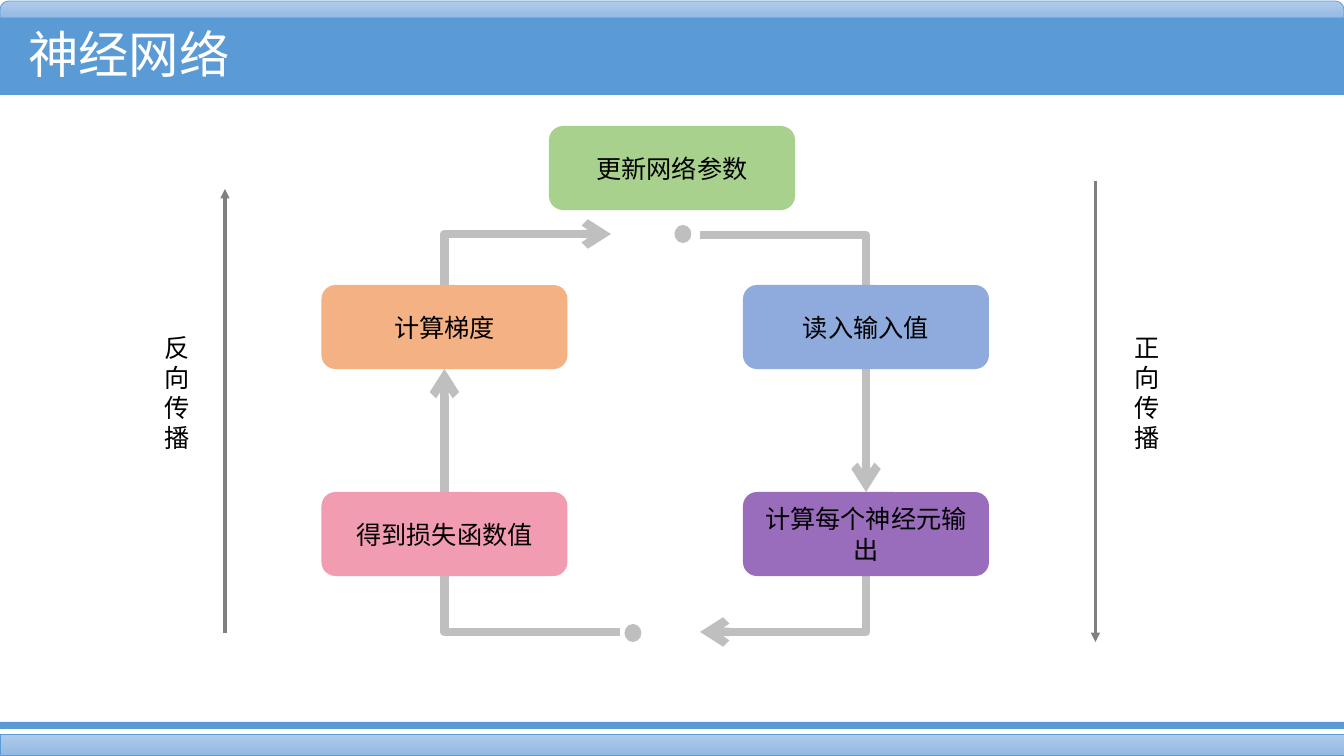
from pptx import Presentation
from pptx.dml.color import RGBColor
from pptx.enum.shapes import MSO_CONNECTOR, MSO_SHAPE
from pptx.enum.text import MSO_ANCHOR, PP_ALIGN
from pptx.oxml.ns import qn
from pptx.util import Pt
from lxml import etree

RECT, ROUND, OVAL = MSO_SHAPE.RECTANGLE, MSO_SHAPE.ROUNDED_RECTANGLE, MSO_SHAPE.OVAL
TAB = MSO_SHAPE.ROUND_2_SAME_RECTANGLE
STRAIGHT, ELBOW = MSO_CONNECTOR.STRAIGHT, MSO_CONNECTOR.ELBOW
LEFT, CENTER = PP_ALIGN.LEFT, PP_ALIGN.CENTER
TOP, MIDDLE = MSO_ANCHOR.TOP, MSO_ANCHOR.MIDDLE

BLACK, WHITE = RGBColor(0, 0, 0), RGBColor(255, 255, 255)
BLUE = RGBColor(0x5B, 0x9B, 0xD5)
BAR_TOP, BAR_BOTTOM = RGBColor(0xB1, 0xCB, 0xE9), RGBColor(0x93, 0xB9, 0xE4)
SILVER, GRAY = RGBColor(0xBF, 0xBF, 0xBF), RGBColor(0x80, 0x80, 0x80)
GREEN, ORANGE = RGBColor(0xA9, 0xD1, 0x8E), RGBColor(0xF4, 0xB1, 0x83)
PERIWINKLE, PINK = RGBColor(0x8F, 0xAA, 0xDC), RGBColor(0xF1, 0x9C, 0xB1)
PURPLE = RGBColor(0x70, 0x30, 0xA0)
FONT = "Noto Sans CJK SC"
EMU_PER_PX = 914400 / 100.8
W, H = 1344, 756

# Content
TITLE = "神经网络"
BOX_W, BOX_H = 246, 84
LEFT_X, MID_X, RIGHT_X = 444.5, 672, 866  # column centres
TOP_Y, UPPER_Y, LOWER_Y = 126, 285, 492  # tops of the rows
STEPS = [  # text, centre x, top, fill, opacity in percent
    ("读入输入值", RIGHT_X, UPPER_Y, PERIWINKLE, 100),
    ("计算每个神经元输出", RIGHT_X, LOWER_Y, PURPLE, 70),
    ("得到损失函数值", LEFT_X, LOWER_Y, PINK, 100),
    ("计算梯度", LEFT_X, UPPER_Y, ORANGE, 100),
    ("更新网络参数", MID_X, TOP_Y, GREEN, 100),
]
UPPER_TURN, LOWER_TURN = 234, 632
BENDS = [  # horizontal end, vertical end, arrowhead place
    ((620, LOWER_TURN), (LEFT_X, UPPER_Y + BOX_H), "tailEnd"),
    ((700, UPPER_TURN + 1), (RIGHT_X, LOWER_Y), "tailEnd"),
    ((700, LOWER_TURN), (RIGHT_X, LOWER_Y + BOX_H), "headEnd"),
    ((611, UPPER_TURN), (LEFT_X, UPPER_Y), "headEnd"),
]
DOTS = [(683, 234), (633, 633)]
DIRECTIONS = [  # label, label left, arrow x, start y, end y
    ("正向传播", 1125, 1095.5, 181, 642),
    ("反向传播", 155, 225, 633, 189),
]


def px(*values):
    return [round(v * EMU_PER_PX) for v in values]


def add_shape(kind, x, y, w, h, color=None):
    sp = s.shapes.add_shape(kind, *px(x, y, w, h))
    sp.shadow.inherit = False
    if color is not None:
        sp.fill.solid()
        sp.fill.fore_color.rgb = color
        sp.line.fill.background()
    return sp


def add_bar(kind, y, h):
    sp = add_shape(kind, 0, y, W, h)
    sp.fill.gradient()
    sp.fill.gradient_angle = 270
    for stop, color in zip(sp.fill.gradient_stops, (BAR_TOP, BAR_BOTTOM)):
        stop.color.rgb = color
    sp.line.color.rgb = BLUE
    sp.line.width = Pt(0.5)
    return sp


def set_text(sp, text, size, color, align, anchor, wrap=True):
    tf = sp.text_frame
    tf.text = text
    tf.word_wrap = wrap
    tf.vertical_anchor = anchor
    p = tf.paragraphs[0]
    p.alignment = align
    font = p.runs[0].font
    font.size, font.name, font.color.rgb = Pt(size), FONT, color
    etree.SubElement(p.runs[0]._r.rPr, qn("a:ea"), typeface=FONT)


def add_arrow(kind, start, end, color, width, place, head):
    c = s.shapes.add_connector(kind, *px(*start, *end))
    c.line.color.rgb = color
    c.line.width = Pt(width)
    etree.SubElement(c.line._get_or_add_ln(), qn("a:" + place), type=head)
    etree.SubElement(c._element.spPr, qn("a:effectLst"))
    return c


prs = Presentation()
prs.slide_width, prs.slide_height = px(W, H)
s = prs.slides.add_slide(prs.slide_layouts[5])

# Header and footer bands
add_bar(TAB, 1, 17).adjustments[0] = 0.5
add_shape(RECT, 0, 18, W, 77, BLUE)
add_bar(RECT, 734, 21)
add_shape(RECT, 0, 722, W, 7, BLUE)

# Title, brought in front of the header band
title = s.shapes.title
title.left, title.top, title.width, title.height = px(18, 18, 224, 72)
set_text(title, TITLE, 36, WHITE, LEFT, TOP, wrap=False)
s.shapes._spTree.append(title._element)

# Cycle arrows: one horizontal leg, then one vertical leg
for start, end, place in BENDS:
    c = add_arrow(ELBOW, start, end, SILVER, 6, place, "arrow")
    c._element.spPr.find(qn("a:prstGeom")).set("prst", "bentConnector2")
for x, y in DOTS:
    add_shape(OVAL, x - 8.5, y - 9, 17, 18, SILVER)

# Step boxes
for text, x, y, color, opacity in STEPS:
    sp = add_shape(ROUND, x - BOX_W / 2, y, BOX_W, BOX_H, color)
    if opacity < 100:
        clr = sp._element.spPr.find(qn("a:solidFill"))[0]
        etree.SubElement(clr, qn("a:alpha"), val=str(opacity * 1000))
    set_text(sp, text, 18, BLACK, CENTER, MIDDLE)

# Propagation directions
for text, label_x, x, y1, y2 in DIRECTIONS:
    add_arrow(STRAIGHT, (x, y1), (x, y2), GRAY, 2.25, "tailEnd", "triangle")
    tb = s.shapes.add_textbox(*px(label_x, 327, 52, 132))
    set_text(tb, text, 18, BLACK, LEFT, TOP)

prs.save("out.pptx")
